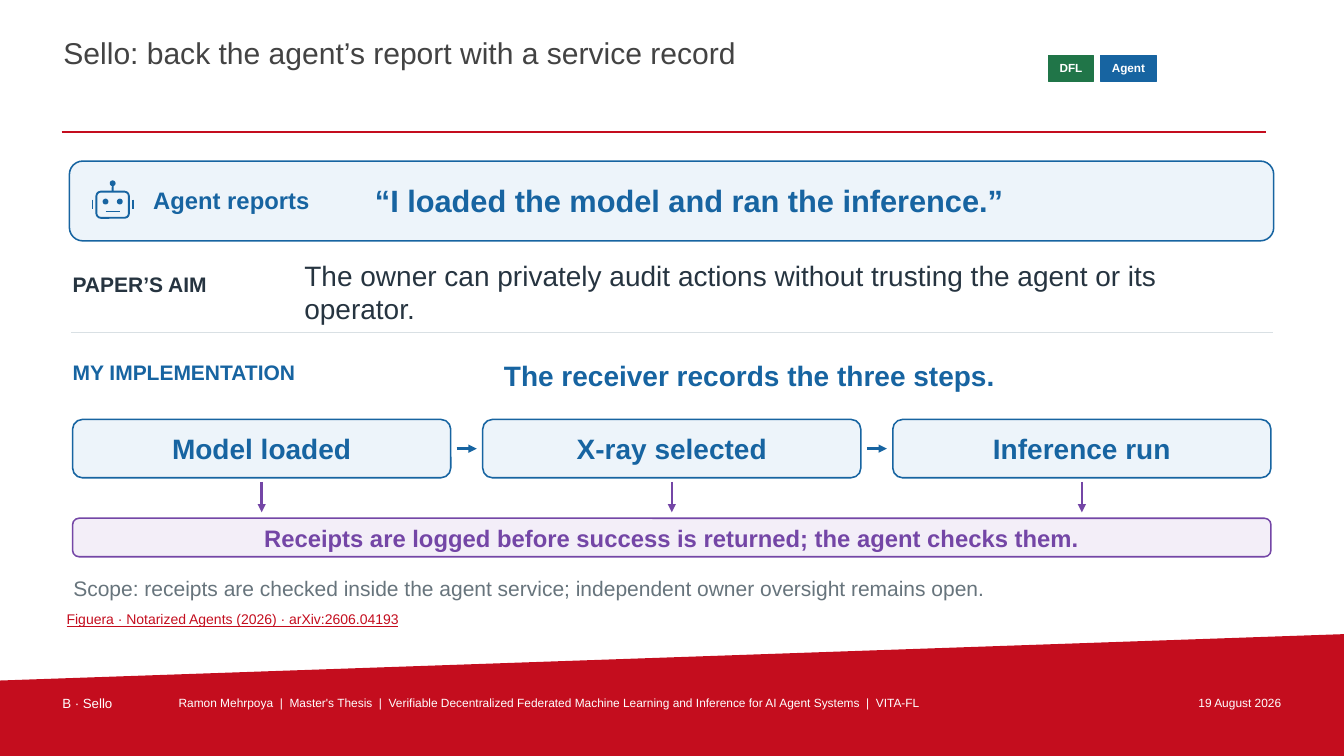
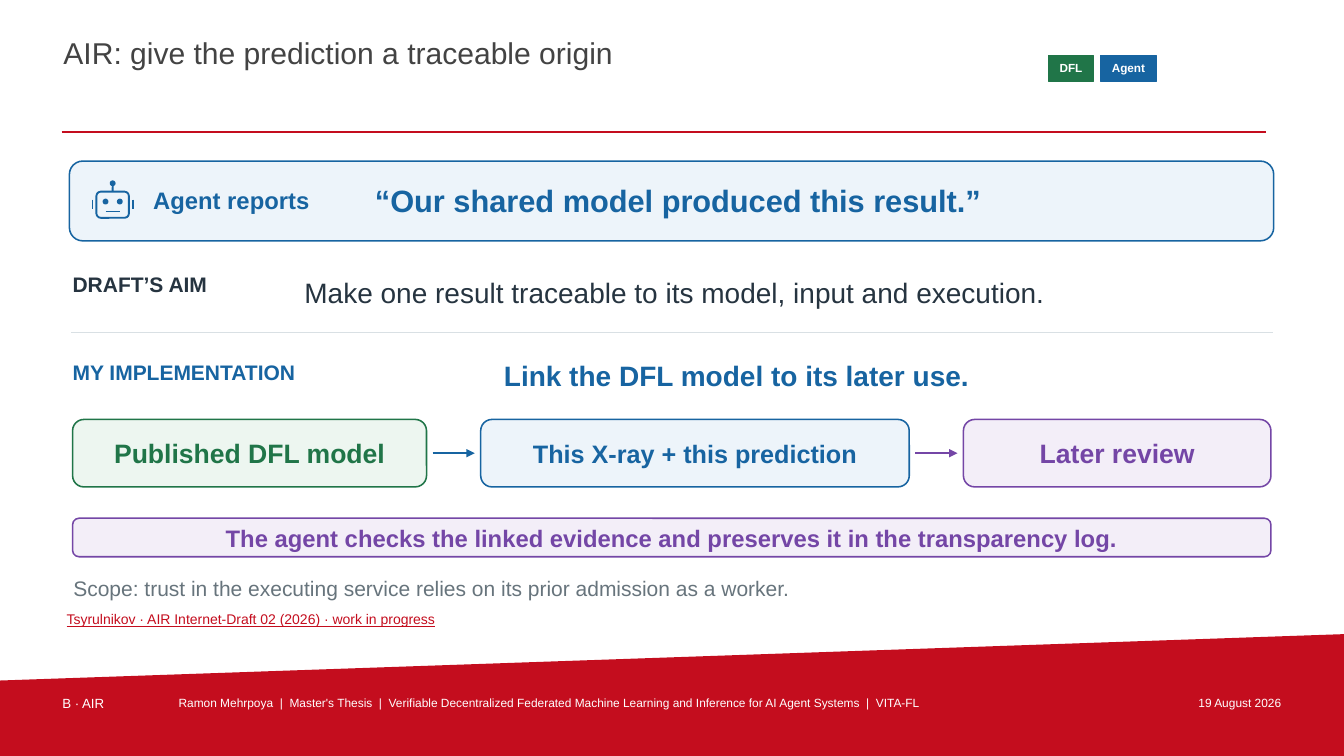
import lxml.etree
import pptx
import pptx.dml.color
import pptx.enum.shapes
import pptx.enum.text
import pptx.oxml.ns
import pptx.util

Cm = pptx.util.Cm
Pt = pptx.util.Pt
RGBColor = pptx.dml.color.RGBColor
Shape = pptx.enum.shapes.MSO_SHAPE
Anchor = pptx.enum.text.MSO_ANCHOR
Align = pptx.enum.text.PP_ALIGN
qn = pptx.oxml.ns.qn

WHITE = RGBColor(0xFF, 0xFF, 0xFF)
RED = RGBColor(0xC4, 0x0D, 0x1E)
TITLE_GREY = RGBColor(0x43, 0x43, 0x43)
INK = RGBColor(0x26, 0x34, 0x40)
MUTED = RGBColor(0x67, 0x74, 0x7C)
DIVIDER = RGBColor(0xD9, 0xE0, 0xE4)
BLUE = RGBColor(0x17, 0x64, 0xA1)
GREEN = RGBColor(0x20, 0x75, 0x48)
PURPLE = RGBColor(0x74, 0x46, 0xA6)
TINTS = {
    BLUE: RGBColor(0xED, 0xF4, 0xFA),
    GREEN: RGBColor(0xED, 0xF6, 0xF0),
    PURPLE: RGBColor(0xF3, 0xEE, 0xF8),
}

PAGE_WIDTH, PAGE_HEIGHT = 33.87, 19.05
LEFT, WIDTH = 1.83, 30.2
STEP_TOP, LOG_TOP = 10.57, 13.06
ARROW_GAP = 0.15
FOOTER = "  |  ".join([
    "Ramon Mehrpoya",
    "Master's Thesis",
    "Verifiable Decentralized Federated Machine Learning and Inference"
    " for AI Agent Systems",
    "VITA-FL",
])


class Painter:
    """Holds the deck, the current page and the style; lengths are in cm."""

    font = "Arial"
    icon_line = 1.34
    card_line = 1.1
    arrow_line = 1.8

    def __init__(self):
        self.deck = pptx.Presentation()
        self.deck.slide_width = Cm(PAGE_WIDTH)
        self.deck.slide_height = Cm(PAGE_HEIGHT)
        self.page = None

    def set_words(self, frame, words, size, color, bold=False,
                  align=Align.LEFT, anchor=Anchor.MIDDLE, inset=0):
        frame.word_wrap = True
        frame.vertical_anchor = anchor
        frame.margin_left = frame.margin_right = Cm(inset)
        frame.margin_top = frame.margin_bottom = Cm(inset)
        para = frame.paragraphs[0]
        para.text = words
        para.alignment = align
        para.font.name = self.font
        para.font.size = Pt(size)
        para.font.bold = bold
        para.font.color.rgb = color
        return para

    def text(self, left, top, width, height, words, size, color, **style):
        box = self.page.shapes.add_textbox(
            Cm(left), Cm(top), Cm(width), Cm(height))
        return self.set_words(box.text_frame, words, size, color, **style)

    def shape(self, kind, left, top, width, height, fill, line, weight):
        shape = self.page.shapes.add_shape(
            kind, Cm(left), Cm(top), Cm(width), Cm(height))
        shape.shadow.inherit = False
        shape.fill.solid()
        shape.fill.fore_color.rgb = fill
        shape.line.color.rgb = line
        shape.line.width = Pt(weight)
        return shape

    def card(self, left, top, width, height, color, words="", size=17):
        """Rounded, tinted box with optional centred bold text."""
        card = self.shape(Shape.ROUNDED_RECTANGLE, left, top, width, height,
                          TINTS[color], color, self.card_line)
        if words:
            self.set_words(card.text_frame, words, size, color, bold=True,
                           align=Align.CENTER)

    def tag(self, left, width, words, color):
        tag = self.shape(Shape.RECTANGLE, left, 1.4, width, 0.64,
                         color, color, 0.55)
        self.set_words(tag.text_frame, words, 8.4, WHITE, bold=True,
                       align=Align.CENTER)

    def line(self, x1, y1, x2, y2, color, weight, arrow=False):
        line = self.page.shapes.add_connector(
            pptx.enum.shapes.MSO_CONNECTOR.STRAIGHT,
            Cm(x1), Cm(y1), Cm(x2), Cm(y2))
        line.line.color.rgb = color
        line.line.width = Pt(weight)
        properties = line.element.find(qn("p:spPr"))
        if arrow:
            outline = properties.find(qn("a:ln"))
            lxml.etree.SubElement(outline, qn("a:tailEnd"), type="triangle")
        lxml.etree.SubElement(properties, qn("a:effectLst"))
        return line

    def arrow(self, x1, y1, x2, y2, color):
        self.line(x1, y1, x2, y2, color, self.arrow_line, arrow=True)

    def red_band(self):
        outline = self.page.shapes.build_freeform(Cm(0), Cm(17.15))
        outline.add_line_segments([
            (Cm(PAGE_WIDTH), Cm(15.98)),
            (Cm(PAGE_WIDTH), Cm(PAGE_HEIGHT)),
            (Cm(0), Cm(PAGE_HEIGHT)),
        ])
        band = outline.convert_to_shape()
        band.shadow.inherit = False
        band.fill.solid()
        band.fill.fore_color.rgb = RED
        band.line.fill.background()

    def start_page(self, title, section):
        """Add a page with its title, tags, band and footer."""
        self.page = self.deck.slides.add_slide(self.deck.slide_layouts[6])
        self.red_band()
        edge = {"anchor": Anchor.TOP, "inset": 0.05}
        self.text(1.55, 0.81, 24.51, 1.57, title, 21.5, TITLE_GREY, **edge)
        self.line(1.55, 3.32, 31.9, 3.32, RED, 1.5)
        self.text(1.52, 17.48, 2.79, 0.56, section, 9.5, WHITE, **edge)
        self.text(4.45, 17.48, 23.75, 0.56, FOOTER, 8.5, WHITE, **edge)
        self.text(28.45, 17.48, 3.89, 0.56, "19 August 2026", 8.5, WHITE,
                  align=Align.RIGHT, **edge)
        self.tag(26.42, 1.14, "DFL", GREEN)
        self.tag(27.74, 1.4, "Agent", BLUE)

    def robot(self, center, top):
        def dot(x, y):
            self.shape(Shape.OVAL, x - 0.05, y, 0.1, 0.1,
                       BLUE, BLUE, self.icon_line)

        def stroke(x1, y1, x2, y2):
            return self.line(x1, y1, x2, y2, BLUE, self.icon_line)

        head_top = top + 0.26
        face_top = head_top + 0.2
        head = self.shape(Shape.ROUNDED_RECTANGLE, center - 0.41, head_top,
                          0.82, 0.66, TINTS[BLUE], BLUE, self.icon_line)
        dot(center, top)
        antenna = stroke(center, top + 0.1, center, head_top)
        antenna.end_connect(head, 0)
        for side in (-1, 1):
            ear = center + side * 0.51
            stroke(ear, face_top, ear, face_top + 0.23)
            dot(center + side * 0.18, face_top)
        stroke(center - 0.18, head_top + 0.5, center + 0.18, head_top + 0.5)

    def report(self, quote):
        self.card(1.75, 4.06, 30.35, 2.01, BLUE)
        self.robot(2.84, 4.57)
        self.text(3.86, 4.6, 5.36, 0.86, "Agent reports", 17, BLUE, bold=True)
        self.text(9.45, 4.42, 21.97, 1.24, quote, 22, BLUE, bold=True)

    def aim(self, label, words):
        self.text(LEFT, 6.71, 5.94, 0.91, label, 15, INK, bold=True)
        self.text(7.67, 6.43, 24.23, 1.85, words, 20, INK)
        self.line(1.8, 8.37, 32.08, 8.37, DIVIDER, 0.75)

    def implementation(self, words):
        self.text(LEFT, 8.92, 10.21, 0.91, "MY IMPLEMENTATION", 15, BLUE,
                  bold=True)
        self.text(12.7, 8.79, 19.18, 1.32, words, 20, BLUE, bold=True)

    def steps(self, steps, height, logged=False):
        """Spread (words, width, size, color) cards evenly over the row."""
        gap = (WIDTH - sum(step[1] for step in steps)) / (len(steps) - 1)
        middle = STEP_TOP + height / 2
        left = LEFT
        for index, (words, width, size, color) in enumerate(steps):
            self.card(left, STEP_TOP, width, height, color, words, size)
            if index:
                self.arrow(left - gap + ARROW_GAP, middle,
                           left - ARROW_GAP, middle, color)
            if logged:
                center = left + width / 2
                self.arrow(center, STEP_TOP + height + 0.1,
                           center, LOG_TOP - ARROW_GAP, PURPLE)
            left += width + gap

    def conclusion(self, log, scope, source):
        self.card(LEFT, LOG_TOP, WIDTH, 0.97, PURPLE, log)
        self.text(1.85, 14.4, 30.1, 0.86, scope, 15, MUTED)
        para = self.text(1.68, 15.34, 30.48, 0.51, source, 10, RED)
        para.font.underline = True


def sello_page(painter):
    painter.start_page("Sello: back the agent’s report with a service record",
                       "B · Sello")
    painter.report("“I loaded the model and ran the inference.”")
    painter.aim("PAPER’S AIM",
                "The owner can privately audit actions without trusting "
                "the agent or its operator.")
    painter.implementation("The receiver records the three steps.")
    names = ["Model loaded", "X-ray selected", "Inference run"]
    painter.steps([(name, 9.53, 20, BLUE) for name in names], 1.47,
                  logged=True)
    painter.conclusion(
        "Receipts are logged before success is returned; "
        "the agent checks them.",
        "Scope: receipts are checked inside the agent service; "
        "independent owner oversight remains open.",
        "Figuera · Notarized Agents (2026) · arXiv:2606.04193")


def air_page(painter):
    painter.start_page("AIR: give the prediction a traceable origin",
                       "B · AIR")
    painter.report("“Our shared model produced this result.”")
    painter.aim("DRAFT’S AIM",
                "Make one result traceable to its model, input and execution.")
    painter.implementation("Link the DFL model to its later use.")
    painter.steps([
        ("Published DFL model", 8.92, 19, GREEN),
        ("This X-ray + this prediction", 10.8, 18, BLUE),
        ("Later review", 7.75, 19, PURPLE),
    ], 1.7)
    painter.conclusion(
        "The agent checks the linked evidence and preserves it "
        "in the transparency log.",
        "Scope: trust in the executing service relies on "
        "its prior admission as a worker.",
        "Tsyrulnikov · AIR Internet-Draft 02 (2026) · work in progress")


def main():
    painter = Painter()
    sello_page(painter)
    air_page(painter)
    painter.deck.save("out.pptx")


if __name__ == "__main__":
    main()
